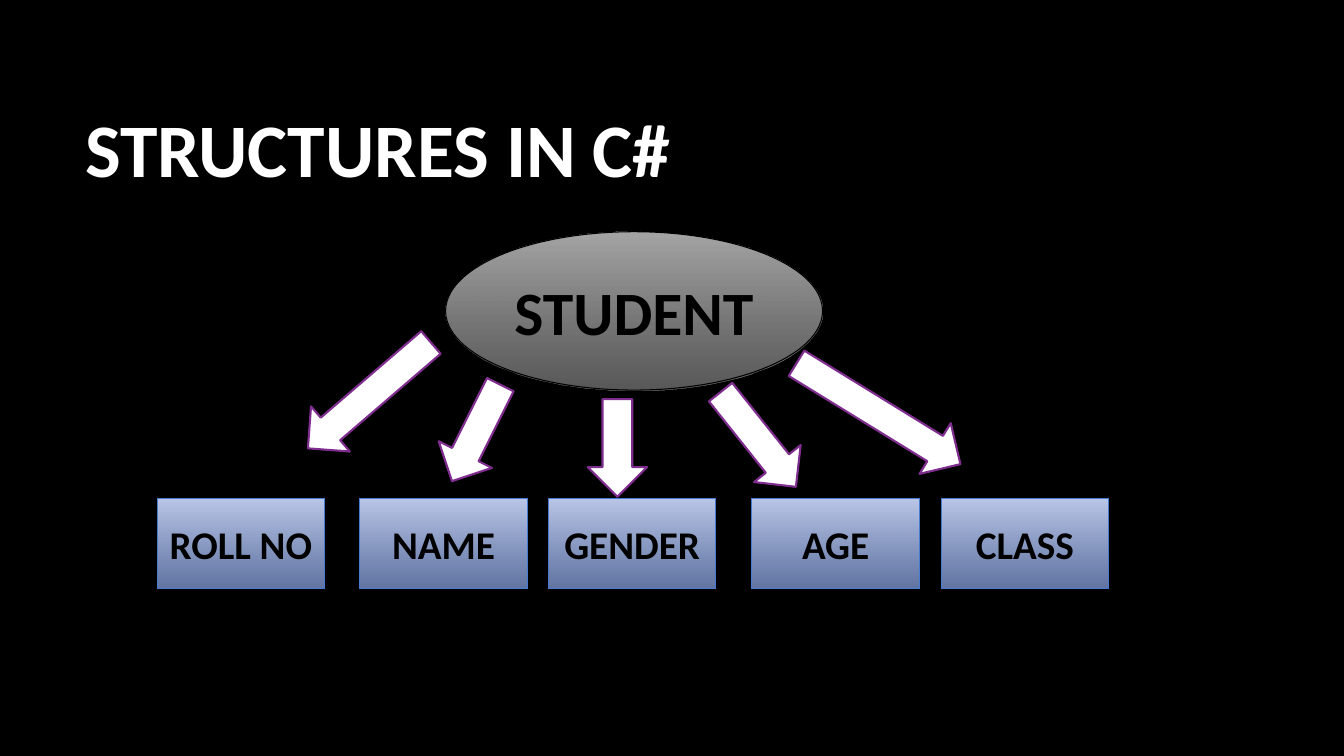
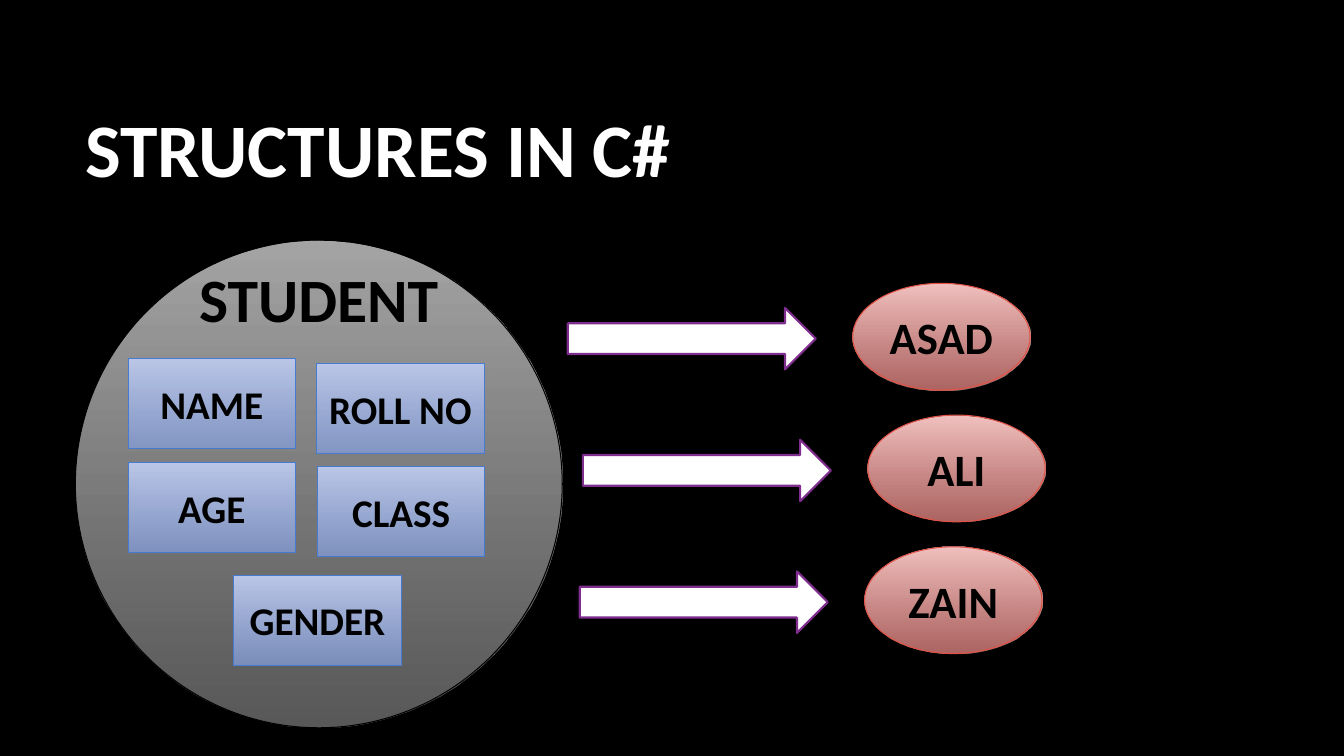
"""Build two slides showing a student structure in C# and its variables."""
from lxml.etree import SubElement
from pptx import Presentation
from pptx.dml.color import RGBColor
from pptx.enum.shapes import MSO_SHAPE as Shape
from pptx.enum.text import MSO_ANCHOR as Anchor, PP_ALIGN as Align
from pptx.oxml.ns import qn
from pptx.util import Cm, Pt

BLACK = RGBColor(0x00, 0x00, 0x00)
WHITE = RGBColor(0xFF, 0xFF, 0xFF)
PURPLE = RGBColor(0x7F, 0x2E, 0x8F)
GREY = (RGBColor(0xA6, 0xA6, 0xA6), RGBColor(0x79, 0x79, 0x79), BLACK)
BLUE = (RGBColor(0xBC, 0xC8, 0xE9), RGBColor(0x85, 0x9E, 0xDA), RGBColor(0x47, 0x7B, 0xD1))
RED = (RGBColor(0xF2, 0xC2, 0xC0), RGBColor(0xE8, 0x89, 0x85), RGBColor(0xE2, 0x52, 0x47))
ARROW = (WHITE, None, PURPLE)
FONT = "Calibri"
END_ALPHA = "74000"
FIELD_SIZE = (4.22, 2.26)


def write(shape, text, size=28, color=BLACK, align=Align.CENTER, inset=0):
    frame = shape.text_frame
    frame.word_wrap = True
    frame.vertical_anchor = Anchor.MIDDLE
    frame.margin_left = frame.margin_right = Cm(inset)
    paragraph = frame.paragraphs[0]
    paragraph.text = text
    paragraph.alignment = align
    font = paragraph.font
    font.name, font.size, font.bold = FONT, Pt(size), True
    font.color.rgb = color


def draw(slide, kind, box, colors, line_width=0.75, rotation=0):
    shape = slide.shapes.add_shape(kind, *map(Cm, box))
    shape.shadow.inherit = False
    shape.rotation = rotation
    start, end, outline = colors
    if end is None:
        shape.fill.solid()
        shape.fill.fore_color.rgb = start
    else:
        shape.fill.gradient()
        shape.fill.gradient_angle = 270
        for stop, color in zip(shape.fill.gradient_stops, (start, end)):
            stop.color.rgb = color
        end_color = list(shape._element.iter(qn("a:srgbClr")))[-1]
        SubElement(end_color, qn("a:alpha"), val=END_ALPHA)
    shape.line.color.rgb = outline
    shape.line.width = Pt(line_width)
    return shape


deck = Presentation()
deck.slide_width, deck.slide_height = Cm(33.87), Cm(19.05)

slides = []
for _ in range(2):
    slide = deck.slides.add_slide(deck.slide_layouts[6])
    slide.background.fill.solid()
    slide.background.fill.fore_color.rgb = BLACK
    title = slide.shapes.add_textbox(Cm(1.9), Cm(1.7), Cm(28.14), Cm(4.04))
    write(title, "STRUCTURES IN C#", size=54, color=WHITE, align=Align.LEFT, inset=0.25)
    slides.append(slide)
fields_slide, variables_slide = slides

student = draw(fields_slide, Shape.OVAL, (11.23, 5.84, 9.5, 3.99), GREY)
write(student, "STUDENT", size=44)

for left, top, length, rotation in (
    (8.56, 7.92, 4.09, 49.3),
    (11.25, 9.55, 2.72, 26.6),
    (14.81, 10.06, 2.46, 0),
    (18.36, 9.55, 3.05, 321.5),
    (21.39, 8, 4.85, 301.6),
):
    draw(fields_slide, Shape.DOWN_ARROW, (left, top, 1.5, length), ARROW, 1.5, rotation)

draw(variables_slide, Shape.OVAL, (1.9, 6.05, 12.27, 12.29), GREY)
student_heading = variables_slide.shapes.add_textbox(Cm(1.9), Cm(6.4), Cm(12.27), Cm(2.2))
write(student_heading, "STUDENT", size=44)

for slide, name, left, top in (
    (fields_slide, "ROLL NO", 3.96, 12.57),
    (fields_slide, "NAME", 9.07, 12.57),
    (fields_slide, "GENDER", 13.82, 12.57),
    (fields_slide, "AGE", 18.95, 12.57),
    (fields_slide, "CLASS", 23.72, 12.57),
    (variables_slide, "ROLL NO", 7.98, 9.17),
    (variables_slide, "NAME", 3.23, 9.04),
    (variables_slide, "GENDER", 5.89, 14.5),
    (variables_slide, "AGE", 3.23, 11.66),
    (variables_slide, "CLASS", 8, 11.76),
):
    write(draw(slide, Shape.RECTANGLE, (left, top, *FIELD_SIZE), BLUE), name)

for row, (name, left) in enumerate((("ASAD", 21.49), ("ALI", 21.87), ("ZAIN", 21.79))):
    top = 7.14 + row * 3.32
    draw(variables_slide, Shape.RIGHT_ARROW, (left - 7.18, top + 0.62, 6.25, 1.55), ARROW, 1.5)
    variable = draw(variables_slide, Shape.OVAL, (left, top, 4.47, 2.69), RED)
    write(variable, name, size=32)

deck.save("out.pptx")
